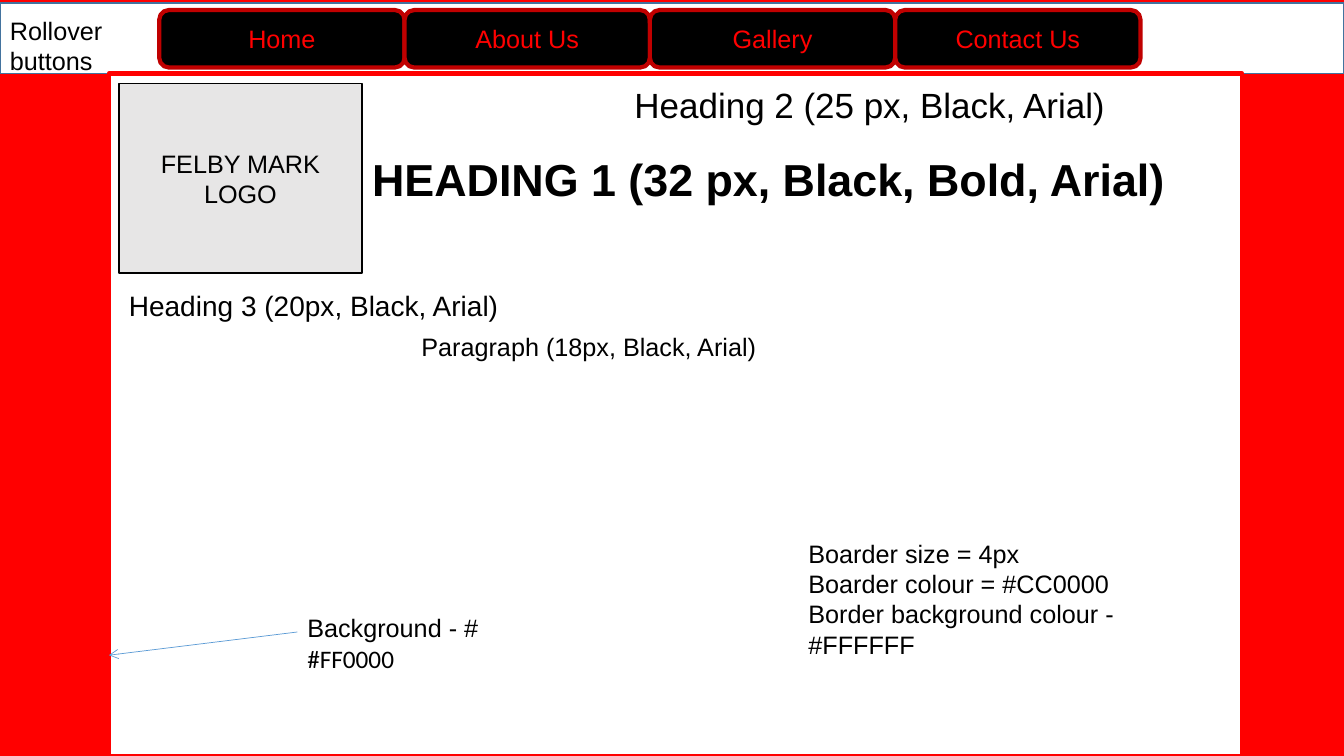
"""Build a web page layout slide with a button bar, headings and style notes."""
import pptx
import pptx.dml.color
import pptx.enum.shapes
import pptx.enum.text
import pptx.oxml
import pptx.oxml.ns
import pptx.util

inch = pptx.util.Inches
kinds = pptx.enum.shapes.MSO_SHAPE
align = pptx.enum.text.PP_ALIGN
anchor = pptx.enum.text.MSO_ANCHOR
fit = pptx.enum.text.MSO_AUTO_SIZE


def color(code):
    return pptx.dml.color.RGBColor.from_string(code)


def write(shape, *lines, size=18, ink="000000", bold=False, side=align.LEFT,
          place=anchor.TOP, grow=True, inset=0.1):
    frame = shape.text_frame
    frame.word_wrap = True
    frame.auto_size = fit.SHAPE_TO_FIT_TEXT if grow else fit.NONE
    frame.vertical_anchor = place
    frame.margin_left = inch(inset)
    for i, line in enumerate(lines):
        para = frame.add_paragraph() if i else frame.paragraphs[0]
        para.alignment = side
        for text, face in line if isinstance(line, list) else [(line, "Arial")]:
            run = para.add_run()
            run.text = text
            run.font.name = face
            run.font.size = pptx.util.Pt(size)
            run.font.bold = bold
            run.font.color.rgb = color(ink)


deck = pptx.Presentation()
wide, high = 13.33, 7.5
deck.slide_width, deck.slide_height = inch(wide), inch(high)
slide = deck.slides.add_slide(deck.slide_layouts[5])
slide.background.fill.solid()
slide.background.fill.fore_color.rgb = color("FF0000")
shapes = slide.shapes

left, top, page = 1.08, 0.73, 11.24
step = 2.433
boxes = [
    (kinds.RECTANGLE, 0, 0.03, wide, 0.7, "FFFFFF", "43739E", 1, "", ""),
    (kinds.RECTANGLE, left, top, page, high - top, "FFFFFF", "FF0000", 3, "", ""),
    (kinds.RECTANGLE, left + 0.1, top + 0.1, 2.41, 1.88, "E7E6E6", "000000", 1,
     "FELBY MARK LOGO", "000000"),
]
for col, name in enumerate(["Home", "About Us", "Gallery", "Contact Us"]):
    boxes.append((kinds.ROUNDED_RECTANGLE, 1.58 + col * step, 0.1, step, 0.57,
                  "000000", "C00000", 3, name, "FF0000"))

for kind, x, y, w, h, fill, edge, weight, text, ink in boxes:
    box = shapes.add_shape(kind, inch(x), inch(y), inch(w), inch(h))
    box.shadow.inherit = False
    box.fill.solid()
    box.fill.fore_color.rgb = color(fill)
    box.line.color.rgb = color(edge)
    box.line.width = pptx.util.Pt(weight)
    if text:
        write(box, text, ink=ink, side=align.CENTER, place=anchor.MIDDLE, grow=False)

title = shapes.title
title.left, title.top, title.width, title.height = map(inch, (3.59, 1.46, 8.3, 0.64))
write(title, "HEADING 1 (32 px, Black, Bold, Arial)", size=32, bold=True)
shapes._spTree.append(title._element)

notes = [
    (4.33, 0.78, 6.82, 0.52, ["Heading 2 (25 px, Black, Arial) "],
     {"size": 25, "side": align.RIGHT}),
    (1.18, 2.81, 8.04, 0.44, ["Heading 3 (20px, Black, Arial)"], {"size": 20}),
    (left, 3.24, page, 0.4, ["Paragraph (18px, Black, Arial)"], {"inset": 3.1}),
    (2.95, 6.03, 2.77, 0.71,
     [[("Background - #", "Arial"), (" #FF0000", "Calibri")]], {}),
    (7.92, 5.29, 4.14, 1.31,
     ["Boarder size = 4px", "Boarder colour = #CC0000",
      "Border background colour - #FFFFFF"], {}),
    (0, 0.1, 1.76, 0.71, ["Rollover", "buttons"], {}),
]
for x, y, w, h, lines, style in notes:
    write(shapes.add_textbox(inch(x), inch(y), inch(w), inch(h)), *lines, **style)

arrow = shapes.add_connector(pptx.enum.shapes.MSO_CONNECTOR.STRAIGHT,
                             inch(2.95), inch(6.27), inch(left), inch(6.5))
arrow.line.color.rgb = color("5B9BD5")
arrow.line.width = pptx.util.Pt(0.5)
tip = pptx.oxml.parse_xml(f'<a:tailEnd {pptx.oxml.ns.nsdecls("a")} type="arrow"/>')
arrow.line._get_or_add_ln().append(tip)
flat = pptx.oxml.parse_xml(f'<a:effectLst {pptx.oxml.ns.nsdecls("a")}/>')
arrow._element.spPr.append(flat)

deck.save("out.pptx")
